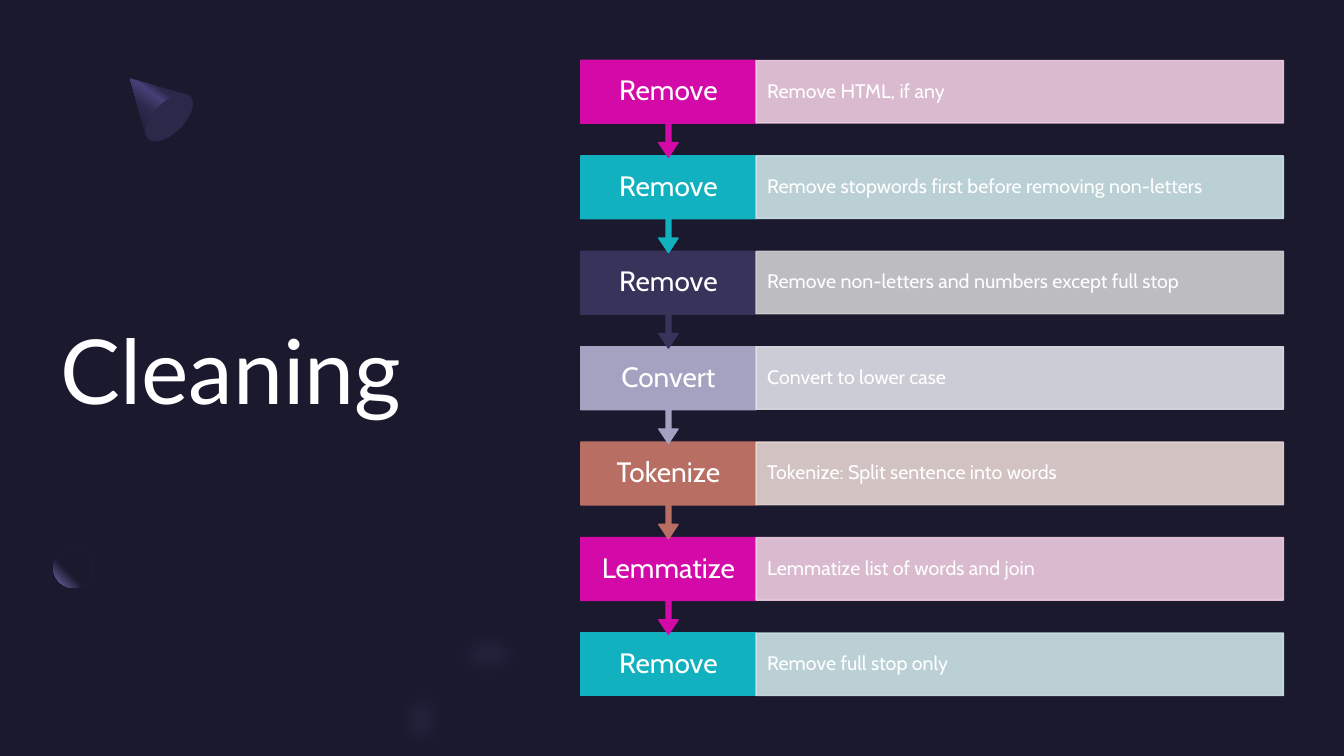
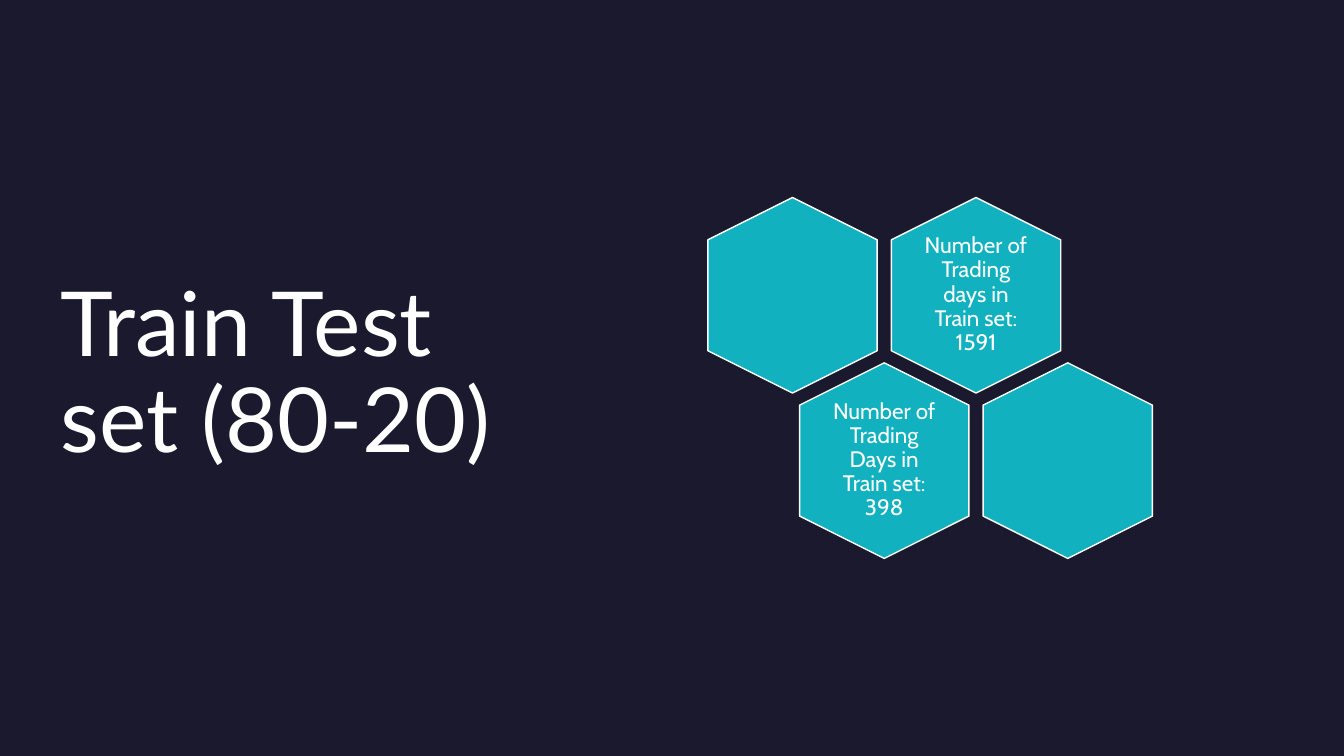
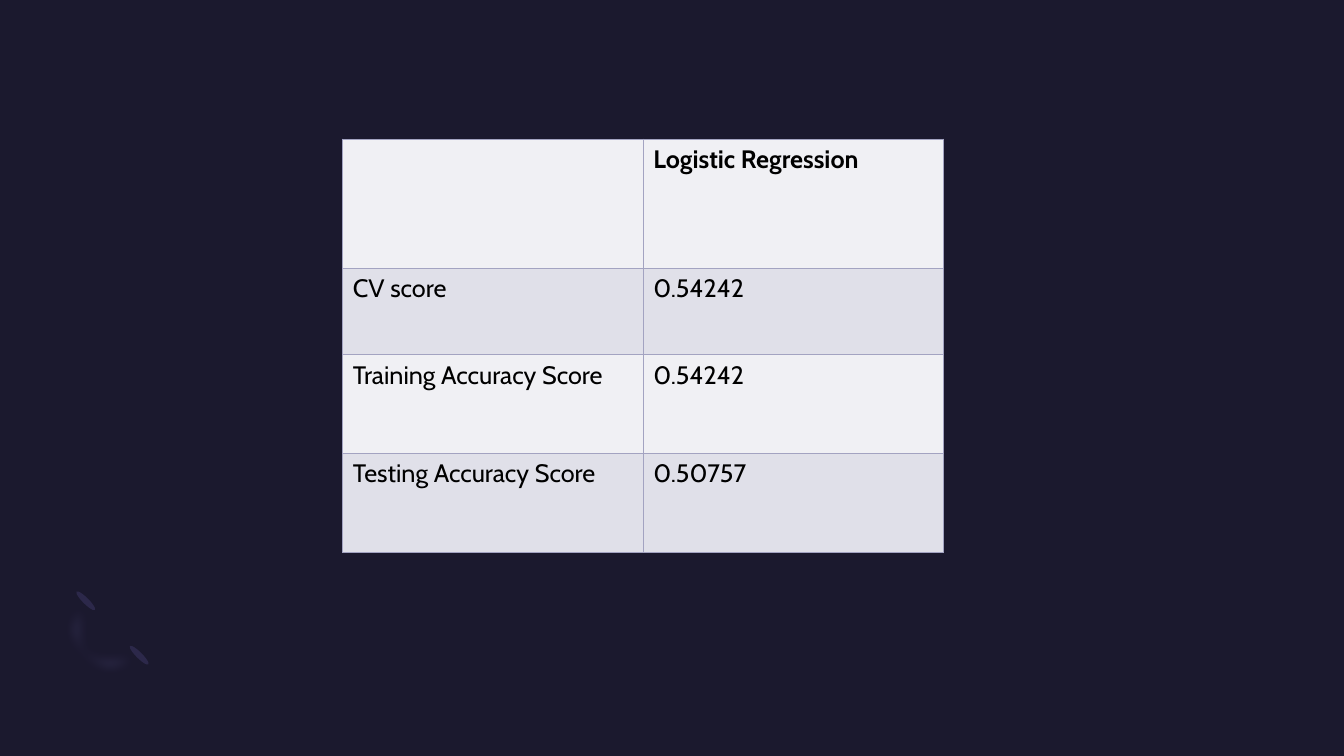
from dataclasses import dataclass

from pptx import Presentation
from pptx.dml.color import RGBColor
from pptx.enum.shapes import MSO_SHAPE
from pptx.enum.text import MSO_ANCHOR, MSO_AUTO_SIZE, PP_ALIGN
from pptx.oxml import parse_xml
from pptx.oxml.ns import nsdecls, qn
from pptx.util import Inches, Pt


@dataclass(frozen=True)
class Theme:
    # Colours
    night: str = "1B192E"
    white: str = "FFFFFF"
    black: str = "000000"
    teal: str = "12B1BF"
    teal_tint: str = "CCE4E8"
    magenta: str = "D40AA8"
    magenta_tint: str = "EFCCE1"
    indigo: str = "37335B"
    indigo_tint: str = "CECED2"
    lavender: str = "A3A3C1"
    lavender_tint: str = "E0E0E9"
    lavender_pale: str = "F0F0F4"
    clay: str = "B86E62"
    clay_tint: str = "E6D5D3"
    shade: str = "2C284A"
    dusk: str = "454075"
    violet: str = "7771B2"
    # Fonts and sizes
    title_font: str = "Lato"
    body_font: str = "Cabin"
    title_size: int = 64
    step_size: int = 20
    table_size: int = 18
    hexagon_size: int = 16
    detail_size: int = 14


THEME = Theme()
TITLE_ONLY, BLANK = 5, 6

# Cleaning steps: label, detail, colour, tint
STEPS = [
    ("Remove", "Remove HTML, if any", THEME.magenta, THEME.magenta_tint),
    ("Remove", "Remove stopwords first before removing non-letters", THEME.teal, THEME.teal_tint),
    ("Remove", "Remove non-letters and numbers except full stop", THEME.indigo, THEME.indigo_tint),
    ("Convert", "Convert to lower case", THEME.lavender, THEME.lavender_tint),
    ("Tokenize", "Tokenize: Split sentence into words", THEME.clay, THEME.clay_tint),
    ("Lemmatize", "Lemmatize list of words and join", THEME.magenta, THEME.magenta_tint),
    ("Remove", "Remove full stop only", THEME.teal, THEME.teal_tint),
]

# Hexagons: column in half steps, row, text
HEXAGONS = [
    (0, 0, ""),
    (2, 0, "Number of Trading days in Train set: 1591"),
    (1, 1, "Number of Trading Days in Train set: 398"),
    (3, 1, ""),
]

SCORES = [
    ("", "Logistic Regression"),
    ("CV score", "0.54242"),
    ("Training Accuracy Score", "0.54242"),
    ("Testing Accuracy Score", "0.50757"),
]

# Outlines: pairs are line ends, sixes are Bézier curves
CONE = [
    (1.29, 0.78), (1.86, 0.94), (1.87, 0.95, 1.88, 0.95, 1.88, 0.96),
    (1.94, 1.02, 1.89, 1.16, 1.78, 1.27), (1.66, 1.39, 1.52, 1.43, 1.47, 1.38),
    (1.46, 1.37, 1.45, 1.36, 1.45, 1.35),
]
LARGE_RING = [
    (4.8, 6.21), (5.11, 6.19, 5.43, 6.32, 5.68, 6.57), (5.33, 6.93),
    (5.1, 6.7, 4.76, 6.68, 4.56, 6.88), (4.42, 7.03, 4.39, 7.26, 4.48, 7.46),
    (4.5, 7.5), (3.94, 7.5), (3.92, 7.43),
    (3.84, 7.08, 3.91, 6.72, 4.16, 6.48), (4.33, 6.3, 4.56, 6.21, 4.8, 6.21),
]
SMALL_RING = [
    (0.76, 6.59), (0.56, 6.39, 0.58, 6.05, 0.81, 5.82), (0.99, 6),
    (0.87, 6.11, 0.86, 6.29, 0.96, 6.38), (1.06, 6.48, 1.23, 6.47, 1.35, 6.36),
    (1.52, 6.54), (1.3, 6.76, 0.95, 6.79, 0.76, 6.59),
]


def set_attributes(target, values):
    for name, value in values.items():
        setattr(target, name, value)


def trace(outline, steps=12):
    """Turn an outline of lines and curves into plain points."""
    points = [outline[0]]
    for piece in outline[1:]:
        if len(piece) == 2:
            points.append(piece)
            continue
        start, one, two, end = points[-1], piece[:2], piece[2:4], piece[4:]
        for step in range(1, steps + 1):
            t = step / steps
            weights = ((1 - t) ** 3, 3 * t * (1 - t) ** 2, 3 * t * t * (1 - t), t ** 3)
            corners = zip(start, one, two, end)
            points.append(tuple(
                sum(w * c for w, c in zip(weights, axis)) for axis in corners))
    return points


class SlideBuilder:
    def __init__(self, theme):
        self.theme = theme
        self.deck = Presentation()
        self.page = None
        set_attributes(self.deck, {"slide_width": Inches(13.33), "slide_height": Inches(7.5)})
        background = self.deck.slide_master.background.fill
        background.solid()
        background.fore_color.rgb = RGBColor.from_string(theme.night)

    def new_page(self, layout, title=None):
        self.page = self.deck.slides.add_slide(self.deck.slide_layouts[layout])
        if title:
            box = self.page.shapes.title
            set_attributes(box, {"left": Inches(0.6), "top": Inches(1.66),
                                 "width": Inches(4.96), "height": Inches(4.13)})
            self.fill_frame(box.text_frame, title, self.theme.title_size,
                            font=self.theme.title_font)

    def fill_frame(self, frame, text, size, align=PP_ALIGN.LEFT, inset=(0, 0), font=None):
        side, end = (Inches(value) for value in inset)
        set_attributes(frame, {
            "word_wrap": True, "auto_size": MSO_AUTO_SIZE.NONE,
            "vertical_anchor": MSO_ANCHOR.MIDDLE,
            "margin_left": side, "margin_right": side,
            "margin_top": end, "margin_bottom": end})
        para = frame.paragraphs[0]
        set_attributes(para, {"alignment": align, "line_spacing": 0.9})
        self.add_span(para, text, size, self.theme.white, font)

    def add_span(self, para, text, size, color, font=None, bold=False):
        span = para.add_run()
        span.text = text
        set_attributes(span.font, {"name": font or self.theme.body_font,
                                   "size": Pt(size), "bold": bold})
        span.font.color.rgb = RGBColor.from_string(color)

    def style(self, shape, fill, line=None, opacity=None, soft_edge=None):
        shape.shadow.inherit = False
        shape.fill.solid()
        shape.fill.fore_color.rgb = RGBColor.from_string(fill)
        if line:
            shape.line.color.rgb = RGBColor.from_string(line)
            shape.line.width = Pt(1)
        else:
            shape.line.fill.background()
        properties = shape.element.spPr
        if opacity:
            for color in properties.iter(qn("a:srgbClr")):
                color.append(parse_xml(
                    f'<a:alpha {nsdecls("a")} val="{opacity * 1000}"/>'))
        if soft_edge:
            properties.find(qn("a:effectLst")).append(parse_xml(
                f'<a:softEdge {nsdecls("a")} rad="{Inches(soft_edge)}"/>'))

    def shape(self, kind, at, fill, rotation=0, **look):
        shape = self.page.shapes.add_shape(kind, *map(Inches, at))
        shape.rotation = rotation
        self.style(shape, fill, **look)
        return shape

    def outline(self, pieces, fill, **look):
        points = [(Inches(x), Inches(y)) for x, y in trace(pieces)]
        builder = self.page.shapes.build_freeform(*points[0])
        builder.add_line_segments(points[1:], close=True)
        shape = builder.convert_to_shape()
        self.style(shape, fill, **look)
        return shape

    def gradient(self, shape, stops, direction):
        shape.fill.background()
        colors = "".join(f'<a:gs pos="{place * 1000}"><a:srgbClr val="{color}"/></a:gs>'
                         for place, color in stops)
        properties = shape.element.spPr
        properties.replace(properties.find(qn("a:noFill")), parse_xml(
            f'<a:gradFill {nsdecls("a")} rotWithShape="1">'
            f"<a:gsLst>{colors}</a:gsLst>{direction}</a:gradFill>"))

    def text(self, at, text, size, **layout):
        box = self.page.shapes.add_textbox(*map(Inches, at))
        self.fill_frame(box.text_frame, text, size, **layout)

    def table(self, rows, left, top, column_width, row_heights, fills):
        widths = [column_width] * len(rows[0])
        table = self.page.shapes.add_table(
            len(rows), len(widths), Inches(left), Inches(top),
            Inches(sum(widths)), Inches(sum(row_heights))).table
        set_attributes(table, {"first_row": False, "horz_banding": False})
        for column, width in zip(table.columns, widths):
            column.width = Inches(width)
        for index, (row, height) in enumerate(zip(table.rows, row_heights)):
            row.height = Inches(height)
            for cell, text in zip(row.cells, rows[index]):
                if text:
                    self.add_span(cell.text_frame.paragraphs[0], text, self.theme.table_size,
                                  self.theme.black, bold=index == 0)
                self.border(cell)
                cell.fill.solid()
                cell.fill.fore_color.rgb = RGBColor.from_string(fills[index % len(fills)])

    def border(self, cell):
        properties = cell._tc.get_or_add_tcPr()
        for side in ("lnL", "lnR", "lnT", "lnB"):
            properties.append(parse_xml(
                f'<a:{side} {nsdecls("a")} w="{Pt(1)}"><a:solidFill>'
                f'<a:srgbClr val="{self.theme.lavender}"/></a:solidFill></a:{side}>'))


def build_cleaning(builder):
    theme = builder.theme
    builder.new_page(TITLE_ONLY, "Cleaning")

    # Decoration: cone, sphere and blurred ring
    cone = builder.outline(CONE, theme.shade)
    builder.gradient(cone, [(30, theme.shade), (40, theme.dusk), (60, theme.shade),
                            (100, theme.night)], f'<a:lin ang="{125 * 60000}" scaled="0"/>')
    builder.shape(MSO_SHAPE.OVAL, (1.53, 0.87, 0.3, 0.59), theme.shade, rotation=45)
    sphere = builder.shape(MSO_SHAPE.OVAL, (0.53, 5.44, 0.39, 0.39), theme.night)
    builder.gradient(sphere, [(60, theme.night), (100, theme.violet)],
                     '<a:path path="circle"><a:fillToRect l="100000" b="100000"/></a:path>')
    builder.outline(LARGE_RING, theme.violet, opacity=40, soft_edge=0.22)

    # Steps, last one first so that each arrow lies over the next box
    left, top, label_width, detail_width, height = 5.76, 0.6, 1.74, 5.23, 0.62
    last = len(STEPS) - 1
    pitch = 5.68 / last
    for index, (label, detail, color, tint) in reversed(list(enumerate(STEPS))):
        y = top + index * pitch
        if index == last:
            step = builder.shape(MSO_SHAPE.RECTANGLE, (left, y, label_width, height),
                                 color, line=color)
        else:
            step = builder.shape(MSO_SHAPE.DOWN_ARROW_CALLOUT, (left, y, label_width, 0.96),
                                 color, line=color)
            for number, value in enumerate((0.05, 0.1, 0.15, 0.65)):
                step.adjustments[number] = value
        builder.fill_frame(step.text_frame, label, theme.step_size, PP_ALIGN.CENTER, (0.12, 0.16))
        bar = builder.shape(MSO_SHAPE.RECTANGLE, (left + label_width, y, detail_width, height),
                            tint, line=tint, opacity=90)
        builder.fill_frame(bar.text_frame, detail, theme.detail_size, inset=(0.11, 0.19))


def build_train_test(builder):
    theme = builder.theme
    builder.new_page(TITLE_ONLY, "Train Test set (80-20)")

    # Honeycomb of upright hexagons
    width, height = 1.94, 1.68
    for column, row, text in HEXAGONS:
        x, y = 6.89 + column * 0.91, 2.09 + row * 1.64
        hexagon = builder.shape(MSO_SHAPE.HEXAGON, (x, y, width, height), theme.teal,
                                rotation=90, line=theme.white)
        hexagon.adjustments[0] = 0.25
        if text:
            builder.text((x + 0.39, y + 0.17, 1.16, 1.33), text, theme.hexagon_size,
                         align=PP_ALIGN.CENTER, inset=(0.07, 0.07))


def build_scores(builder):
    theme = builder.theme
    builder.new_page(BLANK)

    # Decoration: small ring with its two ends
    for left, top in ((1.35, 6.37), (0.82, 5.83)):
        builder.shape(MSO_SHAPE.OVAL, (left, top, 0.06, 0.26), theme.shade, rotation=135)
    builder.outline(SMALL_RING, theme.violet, opacity=20, soft_edge=0.1)

    # Score table
    builder.table(SCORES, 3.4, 1.38, 2.98, (1.28, 0.86, 0.98, 0.98),
                  (theme.lavender_pale, theme.lavender_tint))


def main():
    builder = SlideBuilder(THEME)
    build_cleaning(builder)
    build_train_test(builder)
    build_scores(builder)
    builder.deck.save("out.pptx")


if __name__ == "__main__":
    main()
